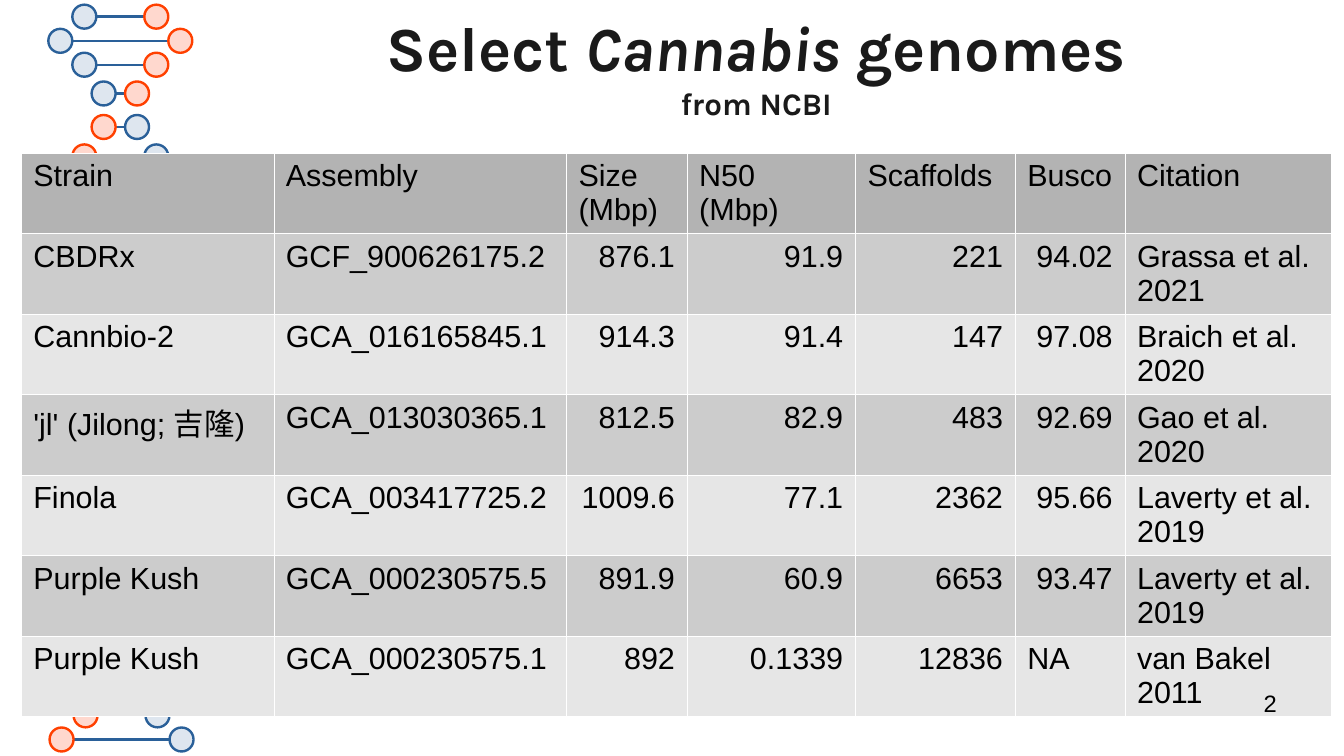
from dataclasses import dataclass

from lxml import etree
from pptx import Presentation
from pptx import util as u
from pptx.dml.color import RGBColor
from pptx.enum import shapes, text
from pptx.oxml.ns import qn

GRID = u.Inches(0.1)
BLUE, RED = "2A6099", "FF4000"
PALE = {BLUE: "DEE6EF", RED: "FFD8CE"}
HEADER, BANDS = "B3B3B3", ("CCCCCC", "E6E6E6")
INK, BLACK, WHITE = "1A1A1A", "000000", "FFFFFF"

HELIX_AXIS, HELIX_TOP, HALF_TURN = 9.87, 1.37, 11.46
BASE_SIZE, STROKE = 1.97, u.Pt(1.42)
RUNG_COUNT = 27


@dataclass
class Rung:
    drop: float
    reach: float
    crossed: bool = False


@dataclass
class Column:
    heading: str
    width: float
    numeric: bool = False


@dataclass
class TitleRun:
    words: str
    size: float = 37
    italic: bool = False


RUNGS = [Rung(0, 2.95), Rung(1.98, 4.92), Rung(3.94, 2.95), Rung(6.3, 1.37), Rung(9.05, 1.37, True)]

COLUMNS = [
    Column("Strain", 20.7),
    Column("Assembly", 24),
    Column("Size (Mbp)", 9.9, True),
    Column("N50 (Mbp)", 13.8, True),
    Column("Scaffolds", 13.1, True),
    Column("Busco", 9, True),
    Column("Citation", 16.9),
]
GENOMES = [
    ("CBDRx", "GCF_900626175.2", "876.1", "91.9", "221", "94.02", "Grassa et al. 2021"),
    ("Cannbio-2", "GCA_016165845.1", "914.3", "91.4", "147", "97.08", "Braich et al. 2020"),
    ("'jl' (Jilong; 吉隆)", "GCA_013030365.1", "812.5", "82.9", "483", "92.69", "Gao et al. 2020"),
    ("Finola", "GCA_003417725.2", "1009.6", "77.1", "2362", "95.66", "Laverty et al. 2019"),
    ("Purple Kush", "GCA_000230575.5", "891.9", "60.9", "6653", "93.47", "Laverty et al. 2019"),
    ("Purple Kush", "GCA_000230575.1", "892", "0.1339", "12836", "NA", "van Bakel 2011"),
]
ROW_HEIGHT = 6.6

TITLE = [TitleRun("Select "), TitleRun("Cannabis", italic=True), TitleRun(" genomes")]
SUBTITLE = TitleRun("from NCBI", 18.5)


def cells(count: float) -> int:
    return round(count * GRID)


def colour(code: str) -> RGBColor:
    return RGBColor.from_string(code)


def style_font(paragraph, face: str, size: float, code: str, bold: bool = False) -> None:
    paragraph.font.name = face
    paragraph.font.size = u.Pt(size)
    paragraph.font.color.rgb = colour(code)
    paragraph.font.bold = bold


def clear_insets(frame) -> None:
    frame.margin_left = frame.margin_right = frame.margin_top = frame.margin_bottom = 0
    frame.word_wrap = True
    frame.auto_size = text.MSO_AUTO_SIZE.NONE


def add_base(slide, centre: float, middle: float, code: str) -> None:
    base = slide.shapes.add_shape(
        shapes.MSO_SHAPE.OVAL,
        cells(centre - BASE_SIZE / 2), cells(middle - BASE_SIZE / 2),
        cells(BASE_SIZE), cells(BASE_SIZE),
    )
    base.shadow.inherit = False
    base.fill.solid()
    base.fill.fore_color.rgb = colour(PALE[code])
    base.line.color.rgb = colour(code)
    base.line.width = STROKE


def add_bond(slide, start: float, end: float, middle: float) -> None:
    bond = slide.shapes.add_connector(
        shapes.MSO_CONNECTOR.STRAIGHT, cells(start), cells(middle), cells(end), cells(middle)
    )
    bond.line.color.rgb = colour(BLUE)
    bond.line.width = STROKE
    etree.SubElement(bond._element.spPr, qn("a:effectLst"))


def add_helix(slide) -> None:
    for index in range(RUNG_COUNT):
        turn, step = divmod(index, len(RUNGS))
        rung = RUNGS[step]
        middle = HELIX_TOP + turn * HALF_TURN + rung.drop
        axis = HELIX_AXIS + (0.1 if turn > 2 else 0)
        left, right = axis - rung.reach, axis + rung.reach
        swapped = (turn % 2 == 1) != rung.crossed
        add_bond(slide, left + BASE_SIZE / 2, right - BASE_SIZE / 2, middle)
        add_base(slide, left, middle, RED if swapped else BLUE)
        add_base(slide, right, middle, BLUE if swapped else RED)


def add_title_run(paragraph, part: TitleRun) -> None:
    run = paragraph.add_run()
    run.text = part.words
    run.font.size = u.Pt(part.size)
    run.font.italic = part.italic


def fill_title(slide) -> None:
    title = slide.shapes.title
    title.left, title.top, title.width, title.height = map(cells, (17.7, 0.7, 88.6, 9.3))
    frame = title.text_frame
    clear_insets(frame)
    frame.vertical_anchor = text.MSO_ANCHOR.MIDDLE
    heading = frame.paragraphs[0]
    heading.alignment = text.PP_ALIGN.CENTER
    heading.space_after = u.Pt(12)
    style_font(heading, "Karla", 37, INK, True)
    for part in TITLE:
        add_title_run(heading, part)
    heading.add_line_break()
    add_title_run(heading, SUBTITLE)


def add_borders(cell) -> None:
    properties = cell._tc.get_or_add_tcPr()
    for place, side in enumerate(("lnL", "lnR", "lnT", "lnB")):
        border = etree.Element(qn(f"a:{side}"), w=str(u.Pt(0.06)))
        paint = etree.SubElement(border, qn("a:solidFill"))
        etree.SubElement(paint, qn("a:srgbClr"), val=WHITE)
        properties.insert(place, border)


def fill_cell(cell, words: str, fill: str, numeric: bool) -> None:
    cell.text = words
    cell.fill.solid()
    cell.fill.fore_color.rgb = colour(fill)
    entry = cell.text_frame.paragraphs[0]
    entry.alignment = text.PP_ALIGN.RIGHT if numeric else text.PP_ALIGN.LEFT
    style_font(entry, "Arial", 18, BLACK)
    add_borders(cell)


def add_genomes(slide) -> None:
    records = [tuple(column.heading for column in COLUMNS), *GENOMES]
    width = sum(column.width for column in COLUMNS)
    genomes = slide.shapes.add_table(
        len(records), len(COLUMNS),
        cells(1.74), cells(12.54), cells(width), cells(ROW_HEIGHT * len(records)),
    ).table
    genomes.horz_banding = False
    for position, column in enumerate(COLUMNS):
        genomes.columns[position].width = cells(column.width)
        for row, record in enumerate(records):
            words = record[position]
            fill = BANDS[(row - 1) % 2] if row else HEADER
            numeric = column.numeric and row > 0 and words != "NA"
            fill_cell(genomes.cell(row, position), words, fill, numeric)


def add_page_number(slide) -> None:
    page = slide.shapes.add_textbox(*map(cells, (79, 56.5, 25.7, 4.3))).text_frame
    clear_insets(page)
    number = page.paragraphs[0]
    number.text = "2"
    number.alignment = text.PP_ALIGN.RIGHT
    style_font(number, "Arial", 14, BLACK)


def main() -> None:
    deck = Presentation()
    deck.slide_width, deck.slide_height = cells(110.2), cells(62)
    slide = deck.slides.add_slide(deck.slide_layouts[5])
    add_helix(slide)
    add_genomes(slide)
    fill_title(slide)
    add_page_number(slide)
    deck.save("out.pptx")


if __name__ == "__main__":
    main()
